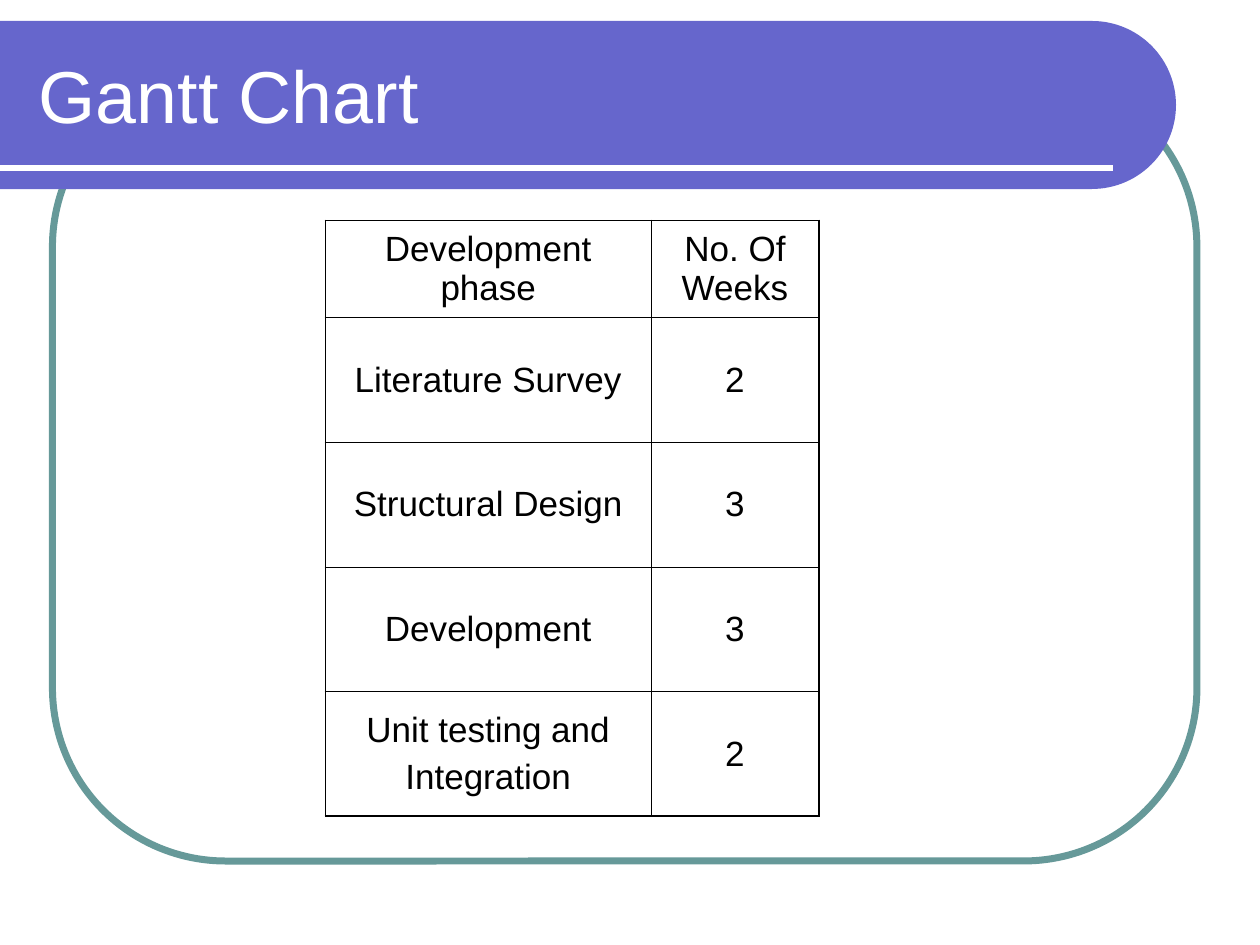
import math
from dataclasses import dataclass

import pptx
import pptx.dml.color
import pptx.enum.shapes
import pptx.enum.text
import pptx.oxml
import pptx.oxml.ns
import pptx.util
from lxml import etree

Pt = pptx.util.Pt
RGBColor = pptx.dml.color.RGBColor
MIDDLE = pptx.enum.text.MSO_ANCHOR.MIDDLE
ALIGN = pptx.enum.text.PP_ALIGN


@dataclass(frozen=True)
class Theme:
    font: str = "Arial"
    title_size: float = 42
    table_size: float = 20
    band: RGBColor = RGBColor(0x66, 0x66, 0xCC)
    frame: RGBColor = RGBColor(0x66, 0x99, 0x99)
    light: RGBColor = RGBColor(0xFF, 0xFF, 0xFF)
    dark: RGBColor = RGBColor(0, 0, 0)
    outer_border: float = 1.08
    inner_border: float = 0.45


THEME = Theme()

# Each cell is a list of paragraphs
PHASES = [
    (["Development phase"], ["No. Of Weeks"]),
    (["Literature Survey"], ["2"]),
    (["Structural Design"], ["3"]),
    (["Development"], ["3"]),
    (["Unit testing and", "Integration"], ["2"]),
]
COLUMN_WIDTHS = [186, 96]
ROW_HEIGHTS = [55.5] + [71.25] * 4


def add_run(paragraph, text, size, color):
    run = paragraph.add_run()
    run.text = text
    run.font.name = THEME.font
    run.font.size = Pt(size)
    run.font.color.rgb = color


def add_frame(slide):
    frame = slide.shapes.add_shape(
        pptx.enum.shapes.MSO_SHAPE.ROUNDED_RECTANGLE,
        Pt(30), Pt(42), Pt(654), Pt(450))
    frame.shadow.inherit = False
    frame.adjustments[0] = 0.22
    frame.fill.background()
    frame.line.color.rgb = THEME.frame
    frame.line.width = Pt(4)


def add_band(slide, top, height, width):
    """Bar from the left slide edge with a half-round right end."""
    radius = height / 2
    center_x, center_y = width - radius, top + radius
    arc = [(center_x + radius * math.cos(math.radians(angle)),
            center_y + radius * math.sin(math.radians(angle)))
           for angle in range(-90, 91, 3)]
    builder = slide.shapes.build_freeform(0, Pt(top))
    builder.add_line_segments(
        [(Pt(x), Pt(y)) for x, y in arc] + [(0, Pt(top + height))])
    band = builder.convert_to_shape()
    band.shadow.inherit = False
    band.fill.solid()
    band.fill.fore_color.rgb = THEME.band
    band.line.fill.background()


def add_rule(slide, y, width):
    rule = slide.shapes.add_connector(
        pptx.enum.shapes.MSO_CONNECTOR.STRAIGHT, 0, Pt(y), Pt(width), Pt(y))
    rule.line.color.rgb = THEME.light
    rule.line.width = Pt(3)
    etree.SubElement(rule.element.spPr, pptx.oxml.ns.qn("a:effectLst"))


def set_title(slide, text):
    title = slide.shapes.title
    title.left, title.top, title.width, title.height = (
        Pt(15), Pt(18), Pt(631.5), Pt(72))
    title.text_frame.vertical_anchor = MIDDLE
    title.text_frame.word_wrap = True
    paragraph = title.text_frame.paragraphs[0]
    paragraph.alignment = ALIGN.LEFT
    add_run(paragraph, text, THEME.title_size, THEME.light)
    # Bring the title in front of the band
    title.element.getparent().append(title.element)


def set_borders(cell, outer_sides):
    properties = cell._tc.get_or_add_tcPr()
    for index, side in enumerate("LRTB"):
        width = THEME.outer_border if side in outer_sides else THEME.inner_border
        properties.insert(index, pptx.oxml.parse_xml(
            f'<a:ln{side} {pptx.oxml.ns.nsdecls("a")} w="{int(Pt(width))}">'
            f'<a:solidFill><a:srgbClr val="{THEME.dark}"/></a:solidFill>'
            f'</a:ln{side}>'))


def fill_cell(cell, lines):
    cell.fill.background()
    cell.vertical_anchor = MIDDLE
    frame = cell.text_frame
    for index, line in enumerate(lines):
        paragraph = frame.add_paragraph() if index else frame.paragraphs[0]
        paragraph.alignment = ALIGN.CENTER
        paragraph.space_before = Pt(5)
        add_run(paragraph, line, THEME.table_size, THEME.dark)


def add_phase_table(slide):
    last_row, last_column = len(PHASES) - 1, len(COLUMN_WIDTHS) - 1
    table = slide.shapes.add_table(
        len(PHASES), len(COLUMN_WIDTHS), Pt(186), Pt(126),
        Pt(sum(COLUMN_WIDTHS)), Pt(sum(ROW_HEIGHTS))).table
    table.first_row = table.horz_banding = False
    for column, width in zip(table.columns, COLUMN_WIDTHS):
        column.width = Pt(width)
    for row, height in zip(table.rows, ROW_HEIGHTS):
        row.height = Pt(height)
    for r, phase in enumerate(PHASES):
        for c, lines in enumerate(phase):
            cell = table.cell(r, c)
            fill_cell(cell, lines)
            edges = {"L": c == 0, "R": c == last_column,
                     "T": r == 0, "B": r == last_row}
            set_borders(cell, [side for side in edges if edges[side]])


def main():
    presentation = pptx.Presentation()
    presentation.slide_width = Pt(720)
    presentation.slide_height = Pt(540)
    slide = presentation.slides.add_slide(
        presentation.slide_layouts.get_by_name("Title Only"))

    # Backdrop
    add_frame(slide)
    add_band(slide, top=12, height=96, width=672)
    add_rule(slide, y=96, width=636)

    # Content
    set_title(slide, "Gantt Chart")
    add_phase_table(slide)

    presentation.save("out.pptx")


if __name__ == "__main__":
    main()
